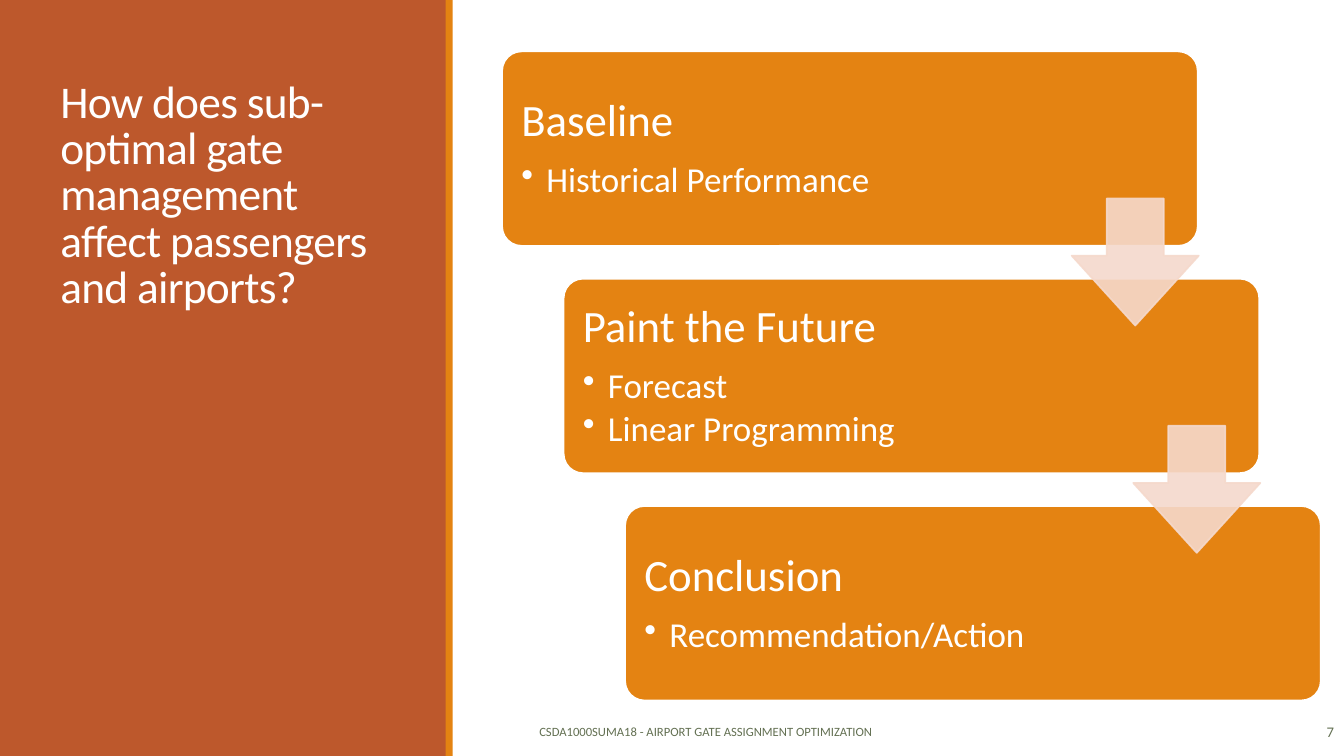
import pptx
import pptx.dml.color
import pptx.enum.shapes
import pptx.enum.text
import pptx.oxml.ns
import pptx.util
from lxml import etree

Inches = pptx.util.Inches
Pt = pptx.util.Pt
Shapes = pptx.enum.shapes.MSO_SHAPE
Align = pptx.enum.text.PP_ALIGN
Anchor = pptx.enum.text.MSO_ANCHOR
qn = pptx.oxml.ns.qn

COLORS = {
    "panel": "BD582C",
    "accent": "E48312",
    "arrow": "F5D9CC",
    "white": "FFFFFF",
    "footer": "637052",
}
FONT = "Calibri"
STEPS = [
    ("Baseline", ["Historical Performance"]),
    ("Paint the Future", ["Forecast", "Linear Programming"]),
    ("Conclusion", ["Recommendation/Action"]),
]
STEP_WIDTH, STEP_HEIGHT = 6.9, 1.93
STEP_DX, STEP_DY = 0.61, 2.255
ARROW_SIZE = 1.26


def rgb(color):
    return pptx.dml.color.RGBColor.from_string(COLORS[color])


def add_block(slide, kind, box, fill, line=None, adjustments=()):
    block = slide.shapes.add_shape(kind, *map(Inches, box))
    block.shadow.inherit = False
    block.fill.solid()
    block.fill.fore_color.rgb = rgb(fill)
    if line:
        block.line.color.rgb = rgb(line)
        block.line.width = Pt(1.25)
    else:
        block.line.fill.background()
    for index, value in enumerate(adjustments):
        block.adjustments[index] = value
    return block


def add_text(slide, box, anchor):
    frame = slide.shapes.add_textbox(*map(Inches, box)).text_frame
    frame.word_wrap = True
    frame.vertical_anchor = anchor
    return frame


def style(paragraph, size, color):
    font = paragraph.font
    for target in (font, *(run.font for run in paragraph.runs)):
        target.name = FONT
        target.size = Pt(size)
        target.color.rgb = rgb(color)


def add_bullet(paragraph):
    properties = paragraph._p.get_or_add_pPr()
    properties.set("marL", str(Inches(0.25)))
    properties.set("indent", str(Inches(-0.25)))
    etree.SubElement(properties, qn("a:buChar")).set("char", "•")


def add_question_panel(slide, width, height):
    add_block(slide, Shapes.RECTANGLE, (0, 0, width, height), "panel")
    add_block(slide, Shapes.RECTANGLE, (width - 0.01, 0, 0.07, height), "accent")
    frame = add_text(slide, (0.5, 0.65, width - 0.93, 2.5), Anchor.BOTTOM)
    frame.text = "How does sub-optimal gate management affect passengers and airports?"
    question = frame.paragraphs[0]
    question.line_spacing = 0.85
    style(question, 32.4, "white")
    question.runs[0].font._element.set("spc", "-50")


def add_step(slide, left, top, heading, points):
    add_block(slide, Shapes.ROUNDED_RECTANGLE, (left, top, STEP_WIDTH, STEP_HEIGHT),
              "accent", "white", [0.1])
    frame = add_text(slide, (left + 0.06, top + 0.06, 4.92, STEP_HEIGHT - 0.11),
                     Anchor.MIDDLE)
    frame.margin_left = frame.margin_right = Inches(0.13)
    frame.margin_top = frame.margin_bottom = Inches(0.13)
    frame.text = "\n".join([heading, *points])
    for index, paragraph in enumerate(frame.paragraphs):
        paragraph.line_spacing = 0.9
        paragraph.space_after = Pt(3.75 if index else 11.2)
        if index:
            paragraph.level = 1
            add_bullet(paragraph)
        style(paragraph, 25 if index else 32, "white")


def add_step_arrow(slide, left, top):
    arrow = add_block(slide, Shapes.DOWN_ARROW, (left, top, ARROW_SIZE, ARROW_SIZE),
                      "arrow", "arrow", [0.45, 0.55])
    for color in arrow._element.spPr.iter(qn("a:srgbClr")):
        etree.SubElement(color, qn("a:alpha")).set("val", "90000")


def add_staircase(slide, left, top):
    """Place the steps downwards to the right, then the arrows that join them."""
    corners = [(left + i * STEP_DX, top + i * STEP_DY) for i in range(len(STEPS))]
    for corner, step in zip(corners, STEPS):
        add_step(slide, *corner, *step)
    for x, y in corners[:-1]:
        add_step_arrow(slide, x + STEP_WIDTH - ARROW_SIZE + 0.01, y + 1.46)


def add_footer(slide, top, height):
    parts = [
        (5.25, 5.08, "CSDA1000SUMA18 - AIRPORT GATE ASSIGNMENT OPTIMIZATION", 9, Align.LEFT),
        (11.9, 1.43, "7", 10.5, Align.RIGHT),
    ]
    for left, width, words, size, alignment in parts:
        frame = add_text(slide, (left, top, width, height), Anchor.MIDDLE)
        frame.text = words
        frame.paragraphs[0].alignment = alignment
        style(frame.paragraphs[0], size, "footer")


def main():
    deck = pptx.Presentation()
    deck.slide_width, deck.slide_height = Inches(13.33), Inches(7.5)
    slide = deck.slides.add_slide(deck.slide_layouts[6])
    add_question_panel(slide, 4.43, 7.5)
    add_staircase(slide, 4.98, 0.51)
    add_footer(slide, 7.06, 0.4)
    deck.save("out.pptx")


if __name__ == "__main__":
    main()
